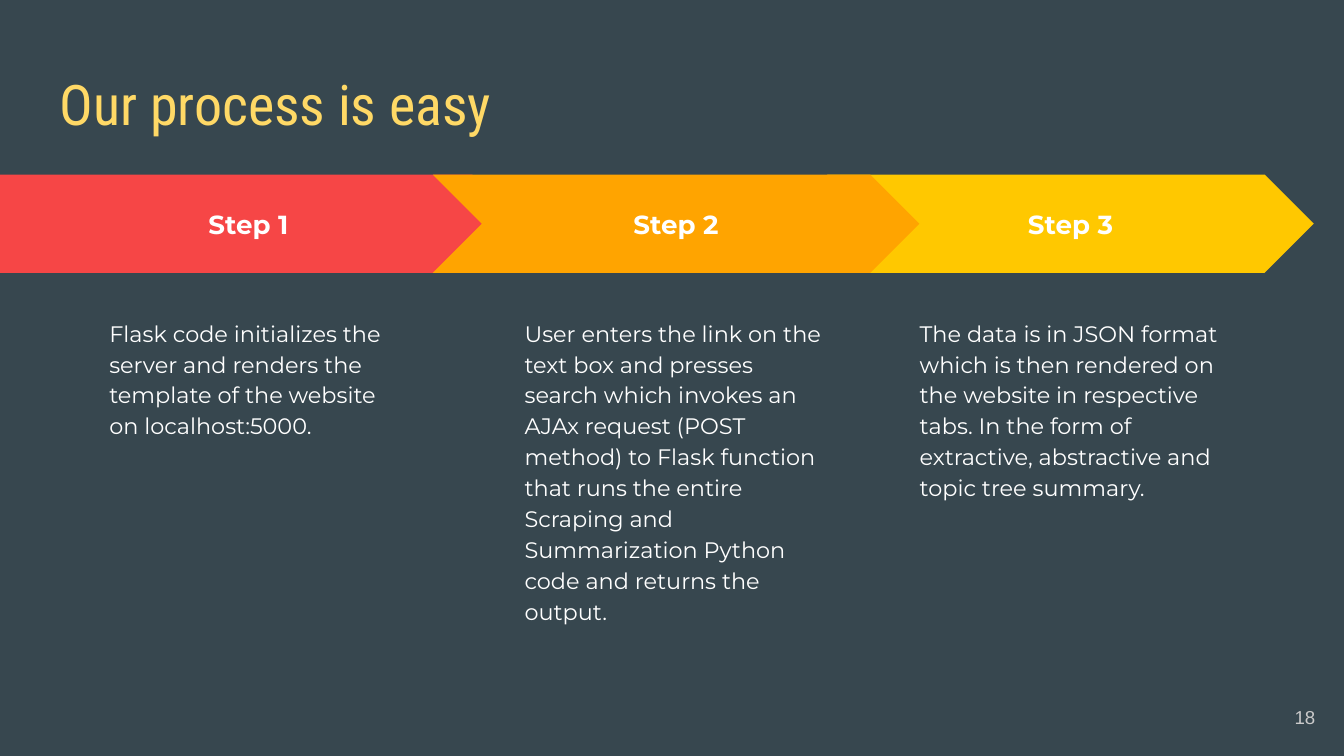
import pptx
import pptx.dml.color
import pptx.enum.shapes
import pptx.enum.text
import pptx.util

PX = 4572  # EMU per px, 200 px to the inch
SHAPES = pptx.enum.shapes.MSO_SHAPE
ALIGN = pptx.enum.text.PP_ALIGN
ANCHOR = pptx.enum.text.MSO_ANCHOR

WHITE = "FFFFFF"
INSET = 20
ARROW_TOP, ARROW_HEIGHT = 260, 146
DETAIL_TOP, DETAIL_WIDTH, DETAIL_HEIGHT = 450, 486, 572

# Listed from back to front: label, arrow kind, arrow left, arrow width,
# arrow colour, detail left, detail text
STEPS = [
    ("Step 3", SHAPES.CHEVRON, 1231, 724, "FFC800", 1349,
     "The data is in JSON format which is then rendered on the website in "
     "respective tabs. In the form of extractive, abstractive and topic tree "
     "summary."),
    ("Step 1", SHAPES.PENTAGON, 0, 776, "F64646", 143,
     "Flask code initializes the server and renders the template of the "
     "website on localhost:5000."),
    ("Step 2", SHAPES.CHEVRON, 644, 724, "FFA400", 761,
     "User enters the link on the text box and presses search which invokes "
     "an AJAx request (POST method) to Flask function that runs the entire "
     "Scraping and Summarization Python code and returns the output."),
]


def emu(*lengths):
    return [pptx.util.Emu(length * PX) for length in lengths]


def paint(color_format, color):
    color_format.rgb = pptx.dml.color.RGBColor.from_string(color)


def write(holder, text, font="Montserrat", size=12, color=WHITE, bold=False,
          align=ALIGN.LEFT, anchor=ANCHOR.TOP, spacing=1.0):
    frame = holder.text_frame
    frame.word_wrap = True
    frame.vertical_anchor = anchor
    frame.margin_left, frame.margin_top, frame.margin_right, frame.margin_bottom = emu(*[INSET] * 4)
    paragraph = frame.paragraphs[0]
    paragraph.alignment = align
    paragraph.line_spacing = spacing
    run = paragraph.add_run()
    run.text = text
    run.font.name = font
    run.font.size = pptx.util.Pt(size)
    run.font.bold = bold
    paint(run.font.color, color)


def add_text(slide, box, text, **style):
    write(slide.shapes.add_textbox(*emu(*box)), text, **style)


def add_arrow(slide, box, kind, color, label):
    arrow = slide.shapes.add_shape(kind, *emu(*box))
    arrow.adjustments[0] = 0.5
    arrow.shadow.inherit = False
    arrow.fill.solid()
    paint(arrow.fill.fore_color, color)
    arrow.line.fill.background()
    write(arrow, label, size=14, bold=True, align=ALIGN.CENTER, anchor=ANCHOR.MIDDLE)


def add_step(slide, box, kind, color, label, detail_offset, detail):
    left, top, width, height = box
    add_arrow(slide, (left, top, width, ARROW_HEIGHT), kind, color, label)
    detail_top = top + height - DETAIL_HEIGHT
    add_text(slide, (left + detail_offset, detail_top, DETAIL_WIDTH, DETAIL_HEIGHT),
             detail, spacing=1.15)


def build_process_slide(presentation):
    slide = presentation.slides.add_slide(presentation.slide_layouts[6])
    slide.background.fill.solid()
    paint(slide.background.fill.fore_color, "37474F")

    # Title
    add_text(slide, (69, 97, 1864, 126), "Our process is easy",
             font="Roboto Condensed", size=30, color="FFD966", anchor=ANCHOR.BOTTOM)

    # Slide number
    add_text(slide, (1857, 1024, 120, 86), "18", font="Arial", size=10,
             color="CACACA", align=ALIGN.RIGHT, anchor=ANCHOR.MIDDLE)

    # Steps
    step_height = DETAIL_TOP + DETAIL_HEIGHT - ARROW_TOP
    for label, kind, left, width, color, detail_left, detail in STEPS:
        add_step(slide, (left, ARROW_TOP, width, step_height), kind, color,
                 label, detail_left - left, detail)


def main():
    presentation = pptx.Presentation()
    presentation.slide_width, presentation.slide_height = emu(2000, 1125)
    build_process_slide(presentation)
    presentation.save("out.pptx")


if __name__ == "__main__":
    main()
